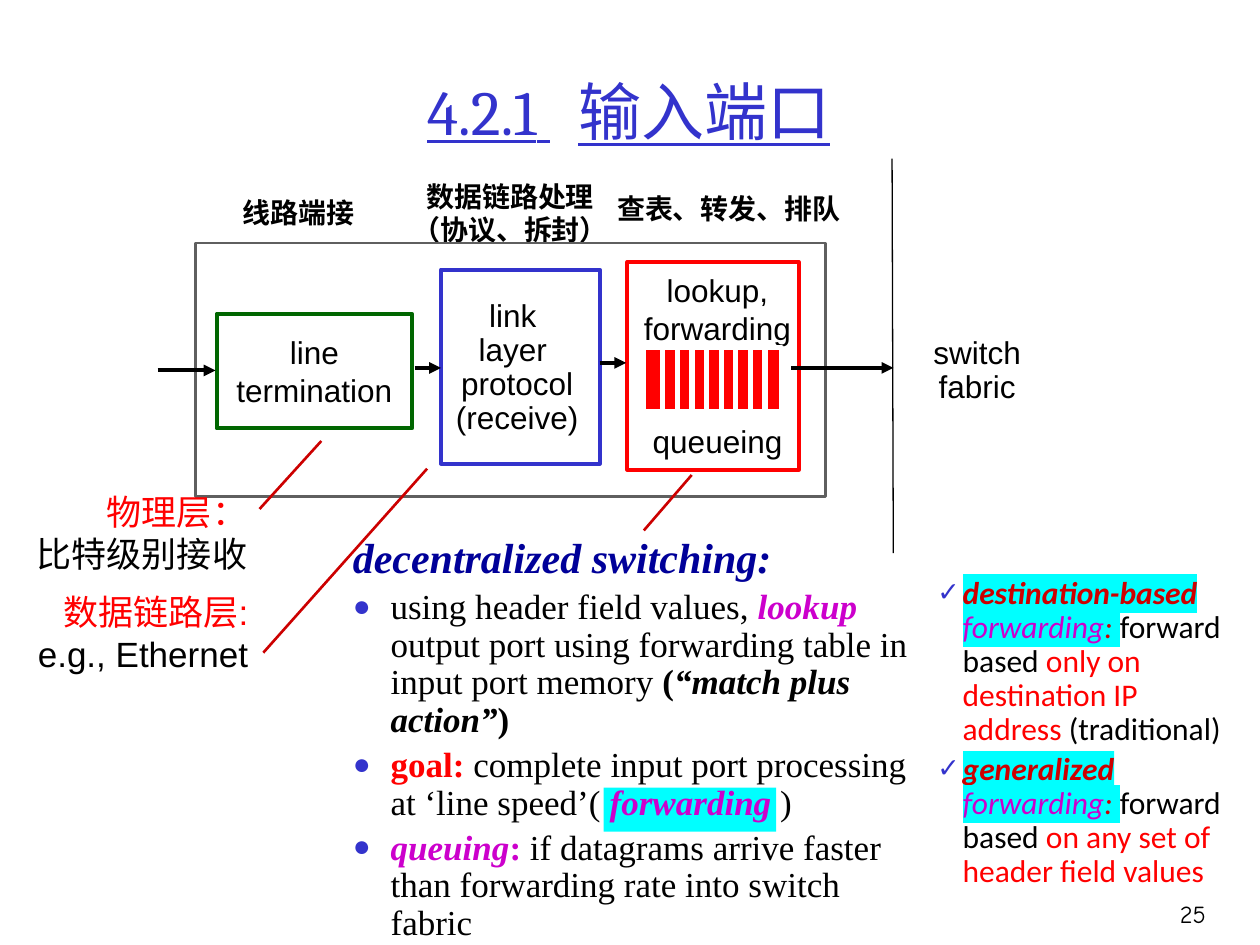
import pptx
import pptx.dml.color
import pptx.enum.shapes
import pptx.enum.text
import pptx.oxml
import pptx.oxml.ns
import pptx.util
from pptx.util import Inches

ALIGN = pptx.enum.text.PP_ALIGN
ANCHOR = pptx.enum.text.MSO_ANCHOR
CJK = "Noto Sans CJK SC"
BLACK, WHITE, RED, BLUE = "000000", "FFFFFF", "FF0000", "3333CC"
DARK_RED, MAGENTA, CYAN = "CC0000", "CC00CC", "00FFFF"


def color(value):
    return pptx.dml.color.RGBColor.from_string(value)


def add_xml(parent, tag, **attributes):
    element = pptx.oxml.parse_xml(f"<a:{tag} {pptx.oxml.ns.nsdecls('a')}/>")
    for key, value in attributes.items():
        element.set(key, str(value))
    parent.append(element)
    return element


def add_run(paragraph, text, size=18, font="Arial", ink=BLACK, bold=False,
            italic=False, underline=False, highlight=None, tracking=None):
    run = paragraph.add_run()
    run.text = text
    run.font.size = pptx.util.Pt(size)
    run.font.bold, run.font.italic = bold, italic
    run.font.underline = underline
    run.font.color.rgb = color(ink)
    properties = run._r.get_or_add_rPr()
    if highlight:
        add_xml(add_xml(properties, "highlight"), "srgbClr", val=highlight)
    run.font.name = font
    add_xml(properties, "ea", typeface=CJK)
    if tracking:
        properties.set("spc", str(tracking))


def set_bullet(paragraph, mark, indent):
    properties = paragraph._p.get_or_add_pPr()
    properties.set("marL", str(Inches(indent)))
    properties.set("indent", str(-Inches(indent)))
    if mark:
        add_xml(add_xml(properties, "buClr"), "srgbClr", val=BLUE)
        add_xml(properties, "buSzPct", val=85000)
        add_xml(properties, "buChar", char=mark)
    else:
        add_xml(properties, "buNone")


def write(frame, lines, align=ALIGN.CENTER, anchor=ANCHOR.MIDDLE, wrap=False,
          spacing=1.0, gap=0, bullets=None, indent=0, **run_format):
    """Each line is a string or a list of (text, format changes) runs."""
    frame.word_wrap = wrap
    frame.auto_size = pptx.enum.text.MSO_AUTO_SIZE.NONE
    frame.vertical_anchor = anchor
    for index, line in enumerate(lines):
        paragraph = frame.add_paragraph() if index else frame.paragraphs[0]
        if bullets:
            set_bullet(paragraph, bullets[index], indent)
        paragraph.alignment = align
        paragraph.line_spacing = spacing
        paragraph.space_before = pptx.util.Pt(gap if index else 0)
        for text, changes in [(line, {})] if isinstance(line, str) else line:
            add_run(paragraph, text, **{**run_format, **changes})


def place(shape, left, top, width, height):
    shape.left, shape.top = Inches(left), Inches(top)
    shape.width, shape.height = Inches(width), Inches(height)
    return shape.text_frame


def add_label(slide, area, lines, **text_format):
    label = slide.shapes.add_textbox(*map(Inches, area))
    write(label.text_frame, lines, **text_format)
    return label.text_frame


def add_box(shapes, area, fill=WHITE, outline=None, weight=2.25):
    box = shapes.add_shape(pptx.enum.shapes.MSO_SHAPE.RECTANGLE, *map(Inches, area))
    box.shadow.inherit = False
    box.fill.solid()
    box.fill.fore_color.rgb = color(fill)
    if outline:
        box.line.color.rgb = color(outline)
        box.line.width = pptx.util.Pt(weight)
    else:
        box.line.fill.background()
    return box


def add_line(shapes, start, end, ink=BLACK, weight=2.25, arrow=False):
    line = shapes.add_connector(pptx.enum.shapes.MSO_CONNECTOR.STRAIGHT,
                                *map(Inches, (*start, *end)))
    line.line.color.rgb = color(ink)
    line.line.width = pptx.util.Pt(weight)
    if arrow:
        add_xml(line.line._get_or_add_ln(), "tailEnd", type="triangle")
    add_xml(line._element.spPr, "effectLst")


def add_queue(slide):
    queue = slide.shapes.add_group_shape().shapes
    add_box(queue, (5.11, 2.76, 1.09, 0.51), RED, WHITE, 3)
    for slot in range(8):
        x = 5.26 + slot * 0.116
        add_line(queue, (x, 2.77), (x, 3.26), WHITE, 3)


def add_port_diagram(slide):
    # Stage headings
    heading = dict(size=16, font=CJK, bold=True)
    add_label(slide, (1.83, 1.53, 0.95, 0.31), ["线路端接"], align=ALIGN.LEFT, **heading)
    add_label(slide, (3.25, 1.42, 1.6, 0.54), ["数据链路处理", "（协议、拆封）"], **heading)
    add_label(slide, (4.8, 1.45, 1.72, 0.4), ["查表、转发、排队"], align=ALIGN.LEFT, **heading)

    # Port frame and its three stages
    add_box(slide.shapes, (1.55, 1.93, 5, 2.01), outline="5F5F5F", weight=1.5)
    termination = add_box(slide.shapes, (1.72, 2.49, 1.55, 0.91), outline="006600")
    write(termination.text_frame, ["line", "termination"])
    add_box(slide.shapes, (3.5, 2.14, 1.26, 1.54), outline=BLUE)
    add_box(slide.shapes, (4.98, 2.08, 1.36, 1.65), outline=RED)

    # Data flow
    for start, end, y in ((1.25, 1.71, 2.94), (3.29, 3.5, 2.92),
                          (4.76, 4.97, 2.88), (6.28, 7.09, 2.92)):
        add_line(slide.shapes, (start, y), (end, y), arrow=True)

    # Stage texts and switch fabric
    link_layer = add_box(slide.shapes, (3.53, 2.47, 1.15, 0.91))
    write(link_layer.text_frame, ["link ", "layer ", "protocol", "(receive)"], spacing=0.9)
    lookup = add_label(slide, (5.01, 2.1, 1.37, 1.6),
                       ["lookup,", "forwarding", "queueing"], anchor=ANCHOR.TOP)
    lookup.paragraphs[2].space_before = pptx.util.Pt(43)
    add_line(slide.shapes, (7.08, 1.26), (7.09, 4.39), weight=0.75)
    fabric = add_box(slide.shapes, (7.18, 2.49, 1.15, 0.91))
    write(fabric.text_frame, ["switch", "fabric"], spacing=0.9)
    add_queue(slide)

    # Layer notes and their pointers
    note = dict(size=20, align=ALIGN.RIGHT, anchor=ANCHOR.TOP)
    add_label(slide, (0.17, 3.84, 1.89, 0.77),
              [[("物理层：", {"ink": RED})], "比特级别接收"], font=CJK, **note)
    add_label(slide, (0.19, 4.64, 1.88, 0.77),
              [[("数据链路层:", {"ink": RED})], "e.g., Ethernet"], **note)
    for start, end in (((2.06, 4.04), (2.55, 3.5)), ((2.09, 5.18), (3.39, 3.72)),
                       ((5.11, 4.21), (5.49, 3.77))):
        add_line(slide.shapes, start, end, DARK_RED, 1.5)


def fill_lists(switching, forwarding):
    body = dict(align=ALIGN.LEFT, anchor=ANCHOR.TOP, wrap=True, spacing=0.9)
    strong = dict(bold=True)
    slanted = dict(bold=True, italic=True)
    term = dict(slanted, ink=MAGENTA)
    write(place(switching, 2.7, 4.21, 4.63, 3.29), [
        [("decentralized switching:", dict(slanted, size=24, ink="000099"))],
        [("using header field values, ", {}), ("lookup", term),
         (" output port using forwarding table in input port memory ", {}),
         ("(", strong), ("“match plus action”", slanted), (")", strong)],
        [("goal: ", dict(strong, ink=RED)),
         ("complete input port processing at ‘line speed’( ", {}),
         ("forwarding ", term), (")", {})],
        [("queuing", term), (": ", dict(strong, ink=MAGENTA)),
         ("if datagrams arrive faster than forwarding rate into switch fabric", {})],
    ], size=20, font="Times New Roman", gap=4, bullets=[None, "●", "●", "●"],
        indent=0.3, **body)

    marked = dict(italic=True, highlight=CYAN, ink=DARK_RED)
    shared = [("forwarding", dict(marked, ink=MAGENTA)), (": ", marked),
              ("forward based ", {})]
    write(place(forwarding, 7.34, 4.53, 2.55, 2.56), [
        [("destination-based ", dict(marked, bold=True)), *shared,
         ("only on destination IP address ", {"ink": RED}), ("(traditional)", {})],
        [("generalized", dict(marked, bold=True)), (" ", marked), *shared,
         ("on any set of header field values", {"ink": RED})],
    ], font="Calibri", gap=3.6, bullets=["✓", "✓"], indent=0.2, **body)


def main():
    deck = pptx.Presentation()
    deck.slide_width, deck.slide_height = Inches(10), Inches(7.5)
    slide = deck.slides.add_slide(deck.slide_layouts[3])
    title, switching, forwarding = slide.placeholders

    # Marker behind the word in the list
    marker = add_box(slide.shapes, (4.79, 6.25, 1.37, 0.35), CYAN)
    slide.shapes._spTree.insert(2, marker._element)

    write(place(title, 0.58, 0.25, 8.82, 1.25),
          [[("4.2.1", {}), (" ", {"tracking": 1600}), ("输入端口", {})]],
          wrap=True, size=36, font="Cambria", ink=BLUE, underline=True)
    add_port_diagram(slide)
    fill_lists(switching, forwarding)
    add_label(slide, (8.93, 7, 0.74, 0.5), ["25"], align=ALIGN.RIGHT, wrap=True,
              size=14, font="Comic Neue")
    deck.save("out.pptx")


if __name__ == "__main__":
    main()
